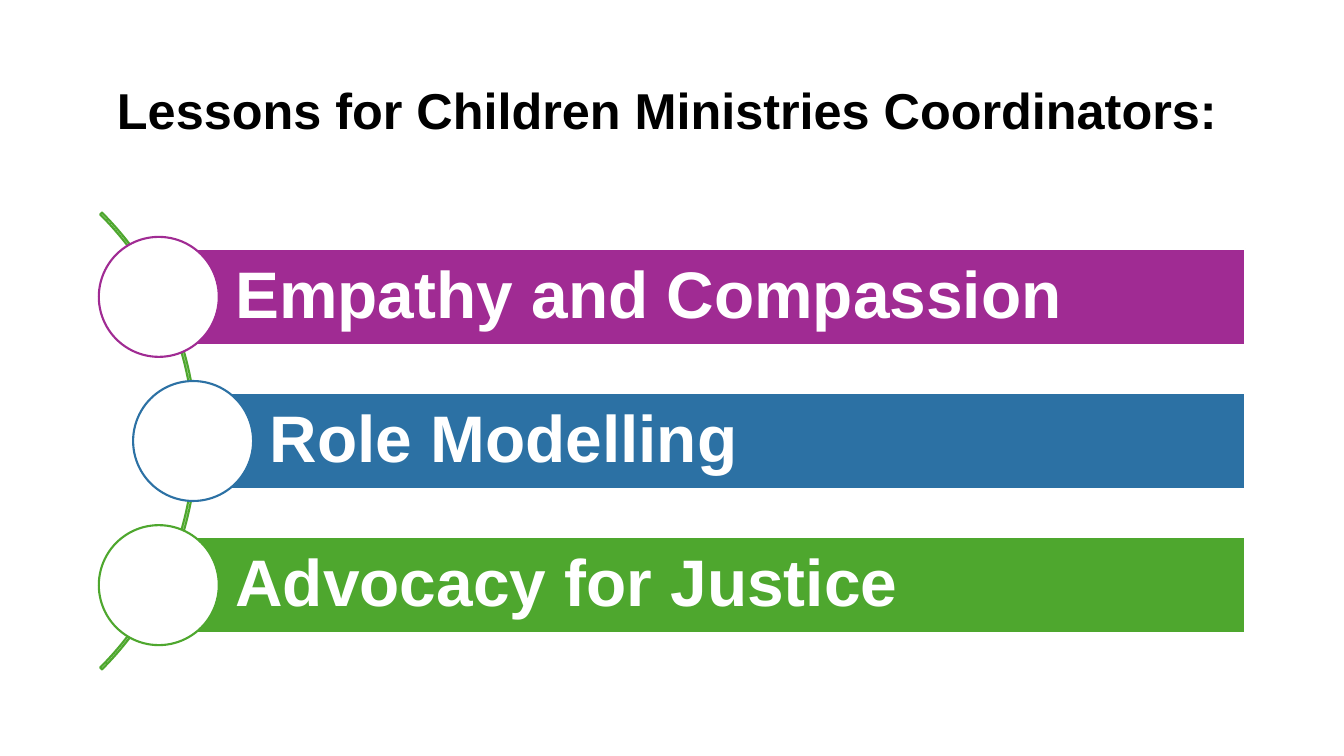
import pptx
import pptx.util
import pptx.dml.color
import pptx.enum.shapes
import pptx.enum.text

Inches = pptx.util.Inches
Pt = pptx.util.Pt
RGBColor = pptx.dml.color.RGBColor
Shapes = pptx.enum.shapes.MSO_SHAPE

BLACK = RGBColor(0x00, 0x00, 0x00)
WHITE = RGBColor(0xFF, 0xFF, 0xFF)
PURPLE = RGBColor(0xA0, 0x2B, 0x93)
BLUE = RGBColor(0x2C, 0x71, 0xA4)
GREEN = RGBColor(0x4E, 0xA7, 0x2E)

# Lesson, colour, indent of its bar along the arc
LESSONS = [
    ("Empathy and Compassion", PURPLE, 0),
    ("Role Modelling", BLUE, Inches(0.34)),
    ("Advocacy for Justice", GREEN, 0),
]


def write_text(holder, text, size, color, left_inset, inset):
    frame = holder.text_frame
    frame.word_wrap = True
    frame.auto_size = pptx.enum.text.MSO_AUTO_SIZE.NONE
    frame.vertical_anchor = pptx.enum.text.MSO_ANCHOR.MIDDLE
    frame.margin_left = left_inset
    frame.margin_right = frame.margin_top = frame.margin_bottom = inset
    line = frame.paragraphs[0]
    line.alignment = pptx.enum.text.PP_ALIGN.LEFT
    line.line_spacing = 0.9
    line.space_before = Pt(0)
    run = line.add_run()
    run.text = text
    run.font.name = "Arial"
    run.font.size = Pt(size)
    run.font.bold = True
    run.font.color.rgb = color


def add_outlined(slide, preset, left, top, width, height, outline, fill=None):
    shape = slide.shapes.add_shape(preset, left, top, width, height)
    shape.shadow.inherit = False
    if fill is None:
        shape.fill.background()
    else:
        shape.fill.solid()
        shape.fill.fore_color.rgb = fill
    shape.line.color.rgb = outline
    shape.line.width = Pt(1.5)
    return shape


def add_heading(slide, left, top, width, height):
    heading = slide.shapes.title
    heading.left, heading.top = left, top
    heading.width, heading.height = width, height
    write_text(heading, "Lessons for Children Ministries Coordinators:", size=36,
               color=BLACK, left_inset=Inches(0.24), inset=Inches(0.05))


def add_lessons(slide, left, top, width, height):
    """Arc with one bar and one circle per lesson, in equal steps."""
    bar_height, circle_size = Inches(0.95), Inches(1.19)
    step = Inches(1.43)
    middle = top + height // 2

    # Arc behind the bars
    arc_size = Inches(6.41)
    arc = add_outlined(slide, Shapes.BLOCK_ARC, left - Inches(5.44),
                       middle - arc_size // 2, arc_size, arc_size, GREEN)
    for index, value in enumerate((189, 27, 0.004)):
        arc.adjustments[index] = value

    for row, (lesson, color, indent) in enumerate(LESSONS):
        center_y = middle + (row - (len(LESSONS) - 1) // 2) * step
        # Bar starts at the centre of its circle
        bar_left = left + indent + circle_size // 2
        bar = add_outlined(slide, Shapes.RECTANGLE, bar_left,
                           center_y - bar_height // 2,
                           left + width - bar_left, bar_height, WHITE, color)
        write_text(bar, lesson, size=47, color=WHITE,
                   left_inset=Inches(0.76), inset=Inches(0.13))
        add_outlined(slide, Shapes.OVAL, left + indent,
                     center_y - circle_size // 2,
                     circle_size, circle_size, color, WHITE)


def main():
    deck = pptx.Presentation()
    deck.slide_width, deck.slide_height = Inches(13.33), Inches(7.5)
    slide = deck.slides.add_slide(deck.slide_layouts[5])
    add_heading(slide, Inches(0.92), Inches(0.4), Inches(11.5), Inches(1.45))
    add_lessons(slide, Inches(0.98), Inches(2), Inches(11.37), Inches(4.75))
    deck.save("out.pptx")


if __name__ == "__main__":
    main()
